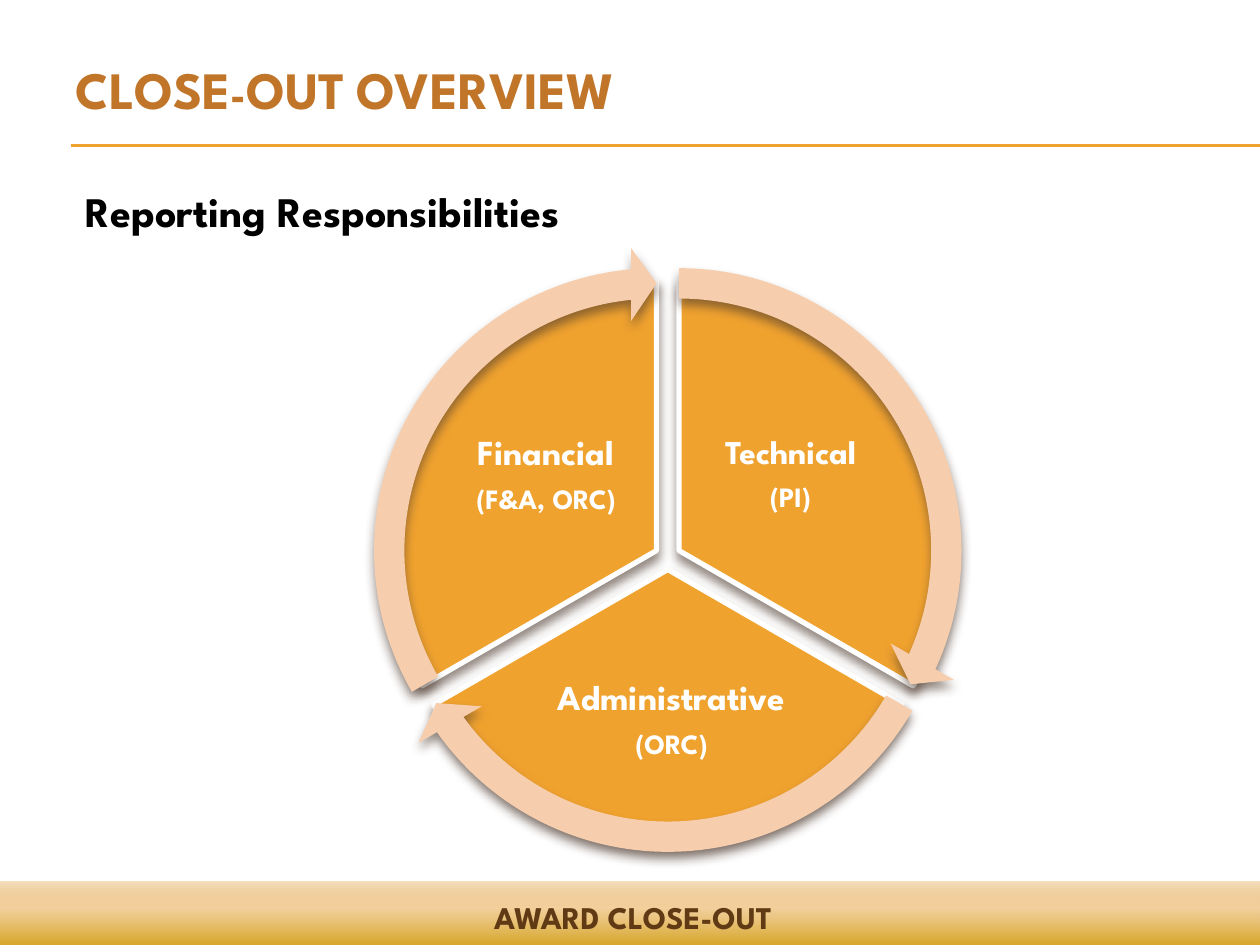
from lxml import etree
from pptx import Presentation
from pptx.dml.color import RGBColor
from pptx.enum.shapes import MSO_CONNECTOR, MSO_SHAPE
from pptx.enum.text import MSO_ANCHOR, MSO_AUTO_SIZE, PP_ALIGN
from pptx.oxml import parse_xml
from pptx.oxml.ns import nsdecls, qn
from pptx.util import Inches, Pt

STRAIGHT = MSO_CONNECTOR.STRAIGHT
RECT, PIE, ARROW = MSO_SHAPE.RECTANGLE, MSO_SHAPE.PIE, MSO_SHAPE.CIRCULAR_ARROW
TOP, MIDDLE, BOTTOM = MSO_ANCHOR.TOP, MSO_ANCHOR.MIDDLE, MSO_ANCHOR.BOTTOM
LEFT, CENTER = PP_ALIGN.LEFT, PP_ALIGN.CENTER
NO_FIT = MSO_AUTO_SIZE.NONE

FONT = "League Spartan"
ORANGE = RGBColor(0xF0, 0xA2, 0x2E)
PEACH = RGBColor(0xF6, 0xCE, 0xAD)
RUST = RGBColor(0xC1, 0x75, 0x29)
BROWN = RGBColor(0x60, 0x3A, 0x14)
WHITE = RGBColor(0xFF, 0xFF, 0xFF)
BLACK = RGBColor(0, 0, 0)

TITLE = "CLOSE-OUT OVERVIEW"
HEADING = "Reporting Responsibilities"
FOOTER = "AWARD CLOSE-OUT"
FOOTER_STOPS = [(0, "CC9900", 100), (65, "EFC17E", 75), (100, "D68000", 25)]
RULES = [1.15, 1.16]

PIE_SIZE, ARROW_SIZE = 4.29, 4.82
SECTORS = [
    {"name": "Technical", "owner": "(PI)", "size": 19, "box": (5.51, 3.13, 1.53, 1.28),
     "center": (5.39, 4.37), "pie": (162, 18), "arrow": (14.73, 161.99)},
    {"name": "Administrative", "owner": "(ORC)", "size": 20, "box": (4.18, 5.16, 2.3, 1.12),
     "center": (5.3, 4.52), "pie": (18, 90), "arrow": (86.72, 18)},
    {"name": "Financial", "owner": "(F&A, ORC)", "size": 20, "box": (3.57, 3.13, 1.53, 1.28),
     "center": (5.21, 4.37), "pie": (90, 162), "arrow": (158.73, 90)},
]


def place(sp, box):
    sp.left, sp.top, sp.width, sp.height = [Inches(v) for v in box]


def add_run(p, text, size, color):
    r = p.add_run()
    r.text = text
    r.font.name, r.font.size, r.font.bold = FONT, Pt(size), True
    r.font.color.rgb = color
    return r


def set_frame(tf, anchor, margin=None):
    tf.word_wrap, tf.auto_size, tf.vertical_anchor = True, NO_FIT, anchor
    if margin is not None:
        tf.margin_left = tf.margin_right = Inches(margin)
        tf.margin_top = tf.margin_bottom = Inches(margin)


def add_text_box(s, box, anchor, margin=None):
    sp = s.shapes.add_textbox(*[Inches(v) for v in box])
    set_frame(sp.text_frame, anchor, margin)
    return sp.text_frame


def add_round(s, kind, center, size, adjustments, color):
    x, y = [Inches(c - size / 2) for c in center]
    sp = s.shapes.add_shape(kind, x, y, Inches(size), Inches(size))
    for i, value in enumerate(adjustments):
        sp.adjustments[i] = value
    sp.fill.solid()
    sp.fill.fore_color.rgb = color
    sp.line.fill.background()
    sp.shadow.inherit = False
    effects = sp._element.spPr.find(qn("a:effectLst"))
    effects.append(parse_xml(
        f'<a:outerShdw {nsdecls("a")} blurRad="{Pt(6)}" dist="{Pt(4)}" dir="5400000" '
        'rotWithShape="0"><a:srgbClr val="4E3B30"><a:alpha val="60000"/></a:srgbClr>'
        '</a:outerShdw>'))
    return sp


def add_footer(s):
    sp = s.shapes.add_shape(RECT, 0, 0, 0, 0)
    place(sp, (-0.01, 7, 10.03, 0.58))
    sp.shadow.inherit = False
    sp.line.fill.background()
    stops = "".join(
        f'<a:gs pos="{pos * 1000}"><a:srgbClr val="{color}">'
        f'<a:alpha val="{alpha * 1000}"/></a:srgbClr></a:gs>'
        for pos, color, alpha in FOOTER_STOPS)
    sp._element.spPr.find(qn("a:prstGeom")).addnext(parse_xml(
        f'<a:gradFill {nsdecls("a")} rotWithShape="1"><a:gsLst>{stops}</a:gsLst>'
        '<a:lin ang="16200000" scaled="0"/></a:gradFill>'))
    p = add_text_box(s, (0.15, 7.08, 9.75, 0.4), TOP).paragraphs[0]
    p.alignment = CENTER
    add_run(p, FOOTER, 18, BROWN)


def add_headings(s):
    title, body = s.shapes.title, s.placeholders[1]
    place(title, (0.5, 0.3, 8.83, 0.7))
    set_frame(title.text_frame, BOTTOM)
    p = title.text_frame.paragraphs[0]
    p.alignment = LEFT
    add_run(p, TITLE, 30, RUST).font._element.set("cap", "small")

    place(body, (0.58, 1.42, 9.08, 0.99))
    set_frame(body.text_frame, TOP)
    p = body.text_frame.paragraphs[0]
    p.space_before, p.space_after = Pt(0), Pt(6)
    pPr = p._p.get_or_add_pPr()
    pPr.set("marL", "0")
    pPr.set("indent", "0")
    etree.SubElement(pPr, qn("a:buNone"))
    add_run(p, HEADING, 24, BLACK)


def add_label(s, sector):
    tf = add_text_box(s, sector["box"], MIDDLE, 0.03)
    lines = [(sector["name"], sector["size"]), (sector["owner"], 16)]
    for i, (text, size) in enumerate(lines):
        p = tf.add_paragraph() if i else tf.paragraphs[0]
        p.alignment, p.line_spacing = CENTER, 0.9
        after = etree.SubElement(p._p.get_or_add_pPr(), qn("a:spcAft"))
        etree.SubElement(after, qn("a:spcPct")).set("val", "35000")
        add_run(p, text, size, WHITE)


def main():
    prs = Presentation()
    prs.slide_width, prs.slide_height = Inches(10), Inches(7.5)
    s = prs.slides.add_slide(prs.slide_layouts[1])
    for y in RULES:
        rule = s.shapes.add_connector(STRAIGHT, Inches(0.56), Inches(y), Inches(10), Inches(y))
        rule.line.color.rgb, rule.line.width = ORANGE, Pt(0.75)
        etree.SubElement(rule._element.spPr, qn("a:effectLst"))
    add_footer(s)
    add_headings(s)
    for sector in SECTORS:
        pie = add_round(s, PIE, sector["center"], PIE_SIZE, sector["pie"], ORANGE)
        pie.line.color.rgb, pie.line.width = WHITE, Pt(3)
        add_label(s, sector)
    for sector in SECTORS:
        adjustments = (0.05, 3.28, *sector["arrow"], 0.06)
        add_round(s, ARROW, sector["center"], ARROW_SIZE, adjustments, PEACH)
    prs.save("out.pptx")


if __name__ == "__main__":
    main()
